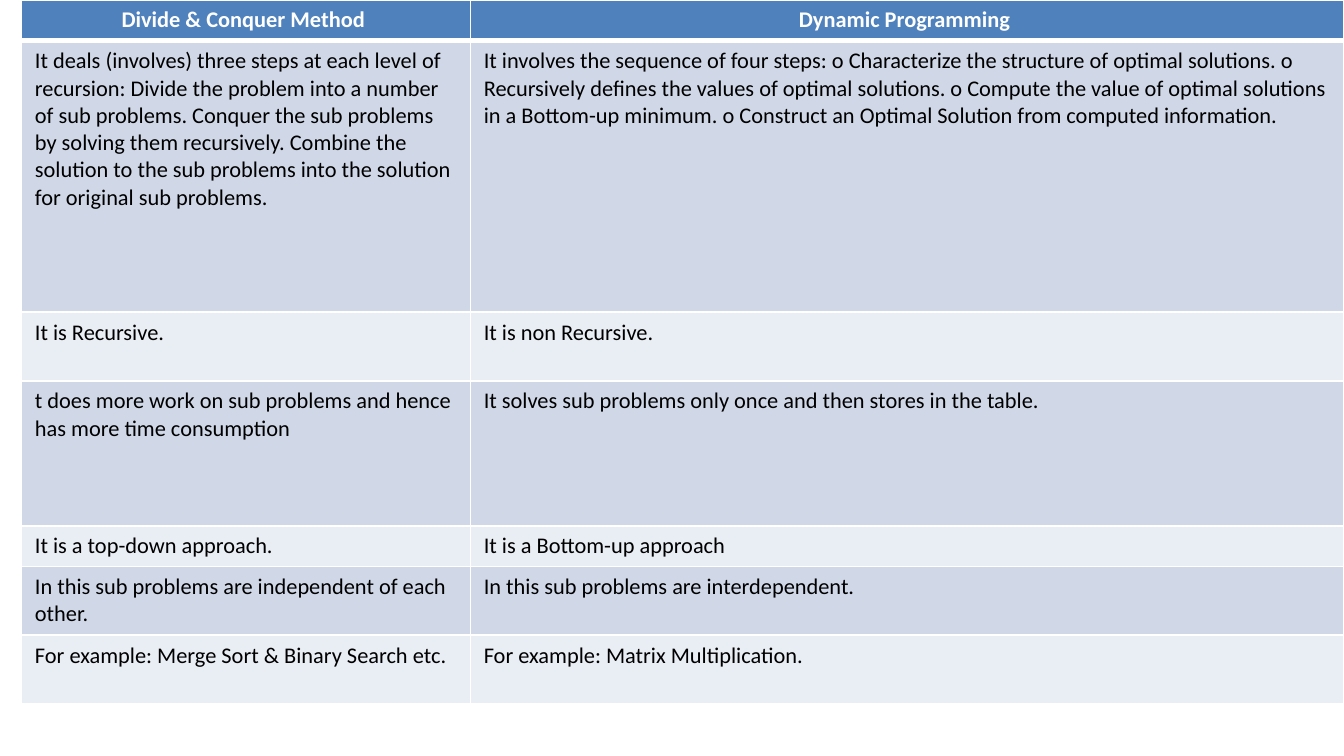
from typing import NamedTuple

from lxml import etree
from pptx import Presentation
from pptx.dml.color import RGBColor
from pptx.enum.text import PP_ALIGN
from pptx.oxml.ns import qn
from pptx.util import Inches, Pt

LEFT, CENTER = PP_ALIGN.LEFT, PP_ALIGN.CENTER
WHITE, BLACK = "FFFFFF", "000000"
HEADER_FILL = "4F81BD"
BAND_FILLS = ("D0D8E8", "E9EDF4")
COLUMN_WIDTHS = (3.34, 6.5)


class Row(NamedTuple):
    height: float
    divide_conquer: str
    dynamic: str


ROWS = [
    Row(0.29, "Divide & Conquer Method ", "Dynamic Programming "),
    Row(2.02,
        "It deals (involves) three steps at each level of recursion: "
        "Divide the problem into a number of sub problems. "
        "Conquer the sub problems by solving them recursively. "
        "Combine the solution to the sub problems into the solution "
        "for original sub problems.",
        "It involves the sequence of four steps: "
        "o Characterize the structure of optimal solutions. "
        "o Recursively defines the values of optimal solutions. "
        "o Compute the value of optimal solutions in a Bottom-up minimum. "
        "o Construct an Optimal Solution from computed information."),
    Row(0.51, "It is Recursive.", "It is non Recursive."),
    Row(1.08,
        "t does more work on sub problems and hence has more time consumption",
        "It solves sub problems only once and then stores in the table."),
    Row(0.29, "It is a top-down approach.", "It is a Bottom-up approach"),
    Row(0.51, "In this sub problems are independent of each other.",
        "In this sub problems are interdependent."),
    Row(0.51, "For example: Merge Sort & Binary Search etc.",
        "For example: Matrix Multiplication."),
]


def rgb(color: str) -> RGBColor:
    return RGBColor.from_string(color)


def write_text(tf, text: str, *, color: str = BLACK, bold: bool = False,
               align: PP_ALIGN = LEFT) -> None:
    p = tf.paragraphs[0]
    p.alignment = align
    r = p.add_run()
    r.text = text
    r.font.name = "Calibri"
    r.font.size = Pt(12)
    r.font.bold = bold
    r.font.color.rgb = rgb(color)


def set_borders(cell, top: float, bottom: float) -> None:
    """Draw white cell borders; the sides are 1 pt wide."""
    tc_pr = cell._tc.get_or_add_tcPr()
    widths = {"a:lnL": 1, "a:lnR": 1, "a:lnT": top, "a:lnB": bottom}
    for i, (tag, width) in enumerate(widths.items()):
        ln = etree.Element(qn(tag), w=str(Pt(width)))
        fill = etree.SubElement(ln, qn("a:solidFill"))
        etree.SubElement(fill, qn("a:srgbClr"), val=WHITE)
        tc_pr.insert(i, ln)


def add_comparison(slide, rows: list[Row]) -> None:
    height = sum(row.height for row in rows)
    frame = slide.shapes.add_table(
        len(rows), len(COLUMN_WIDTHS), Inches(0.16), Inches(0),
        Inches(sum(COLUMN_WIDTHS)), Inches(height))
    table = frame.table
    for column, width in zip(table.columns, COLUMN_WIDTHS):
        column.width = Inches(width)
    for i, row in enumerate(rows):
        table.rows[i].height = Inches(row.height)
        header = i == 0
        for j, text in enumerate((row.divide_conquer, row.dynamic)):
            cell = table.cell(i, j)
            cell.fill.solid()
            cell.fill.fore_color.rgb = rgb(
                HEADER_FILL if header else BAND_FILLS[(i - 1) % 2])
            set_borders(cell, top=3 if i == 1 else 1, bottom=3 if header else 1)
            write_text(cell.text_frame, text, bold=header,
                       color=WHITE if header else BLACK,
                       align=CENTER if header else LEFT)


def main() -> None:
    prs = Presentation()
    prs.slide_width = Inches(10)
    prs.slide_height = prs.slide_width * 9 // 16
    slide = prs.slides.add_slide(prs.slide_layouts[6])
    add_comparison(slide, ROWS)
    prs.save("out.pptx")


if __name__ == "__main__":
    main()
